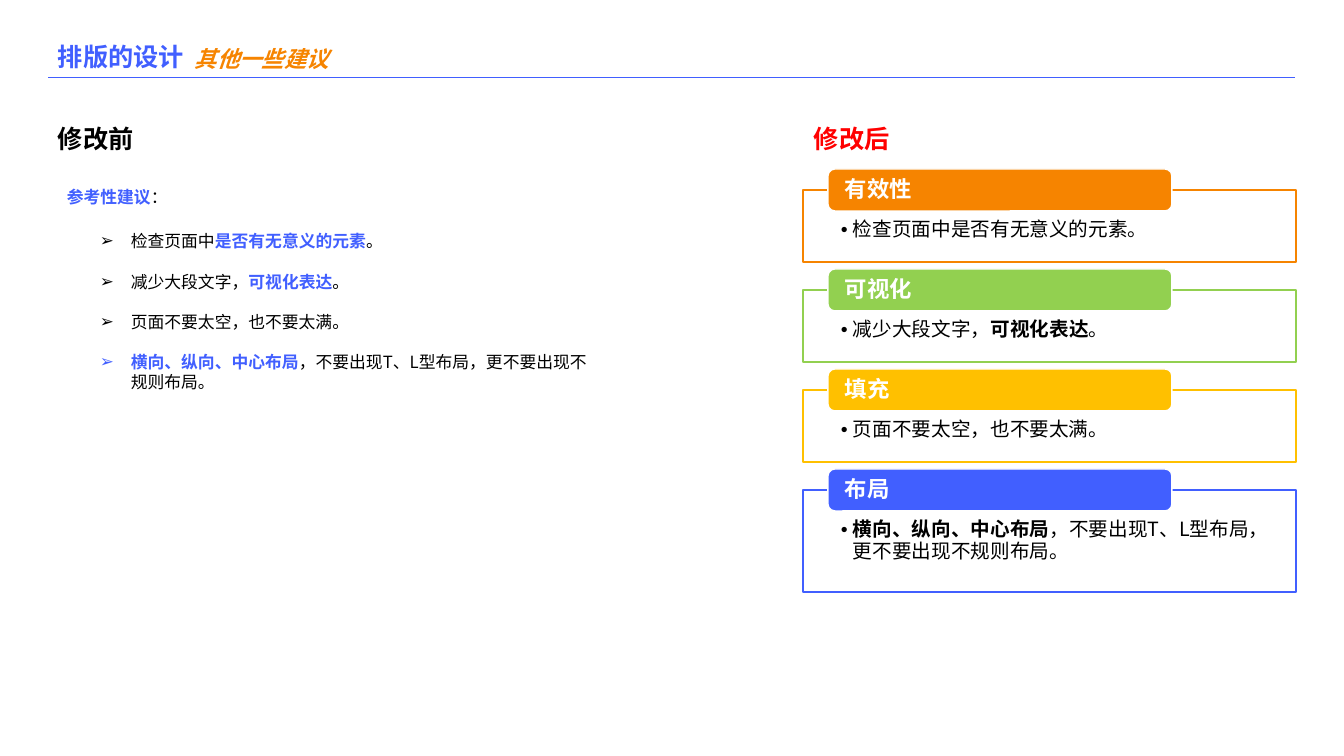
from lxml.etree import SubElement
from pptx import Presentation
from pptx.dml.color import RGBColor
from pptx.enum.shapes import MSO_CONNECTOR, MSO_SHAPE
from pptx.enum.text import MSO_ANCHOR, PP_ALIGN
from pptx.oxml.ns import qn
from pptx.util import Emu, Pt

FONT = "Noto Sans CJK SC"
BLUE, ORANGE, GREEN, YELLOW = "415FFF", "F68400", "92D050", "FFC000"
BLACK, WHITE, RED = "000000", "FFFFFF", "FF0000"

# left, top, width, height, text, size, colour, italic
HEADINGS = [
    (48, 36, 160, 40, "排版的设计", 18, BLUE, False),
    (185, 40, 286, 37, "其他一些建议", 16, ORANGE, True),
    (48, 118, 151, 40, "修改前", 18, BLACK, False),
    (804, 118, 151, 40, "修改后", 18, RED, False),
]
# Each sentence is a list of (text, emphasised)
INTRO = [("参考性建议", True), ("：", False)]
MEANING = [("检查页面中", False), ("是否有无意义的元素", True), ("。", False)]
VISUAL = [("减少大段文字，", False), ("可视化表达", True), ("。", False)]
FILLING = [("页面不要太空，也不要太满。", False)]
LAYOUT = [("横向、纵向、中心布局", True),
          ("，不要出现T、L型布局，更不要出现不规则布局。", False)]
ADVICE = [MEANING, VISUAL, FILLING, LAYOUT]
# label, colour, card height, sentence
CARDS = [
    ("有效性", ORANGE, 72, [("检查页面中是否有无意义的元素。", False)]),
    ("可视化", GREEN, 72, VISUAL),
    ("填充", YELLOW, 72, FILLING),
    ("布局", BLUE, 102, LAYOUT),
]
CARD_LEFT, CARD_TOP, CARD_WIDTH, CARD_GAP = 803, 190, 493, 28
LABEL_INDENT, LABEL_RISE, LABEL_WIDTH, LABEL_HEIGHT = 25, 21, 344, 42


def px(length):
    return Emu(round(length * 914400 / 100.8))


def rgb(colour):
    return RGBColor.from_string(colour)


def add_run(paragraph, text, size, colour, bold=False, italic=False):
    run = paragraph.add_run()
    run.text = text
    font = run.font
    font.size, font.bold, font.italic = Pt(size), bold, italic
    font.color.rgb = rgb(colour)
    font.name = FONT
    SubElement(font._element, qn("a:ea")).set("typeface", FONT)


def add_sentence(paragraph, sentence, size, strong_colour):
    for text, strong in sentence:
        add_run(paragraph, text, size, strong_colour if strong else BLACK, strong)


def add_bullet(paragraph, mark, indent):
    properties = paragraph._p.get_or_add_pPr()
    properties.set("marL", str(px(indent)))
    properties.set("indent", str(-px(indent)))
    SubElement(properties, qn("a:buFont")).set("typeface", "Arial")
    SubElement(properties, qn("a:buChar")).set("char", mark)


def add_text_box(left, top, width, height):
    frame = slide.shapes.add_textbox(px(left), px(top), px(width), px(height)).text_frame
    frame.word_wrap = True
    return frame


def add_panel(preset, box, fill, line, margins, anchor):
    """Add an outlined shape; return it with its empty left-aligned paragraph."""
    panel = slide.shapes.add_shape(preset, *map(px, box))
    panel.shadow.inherit = False
    panel.fill.solid()
    panel.fill.fore_color.rgb = rgb(fill)
    panel.line.color.rgb = rgb(line)
    panel.line.width = Pt(1)
    frame = panel.text_frame
    frame.word_wrap = True
    frame.vertical_anchor = anchor
    (frame.margin_left, frame.margin_top,
     frame.margin_right, frame.margin_bottom) = map(px, margins)
    paragraph = frame.paragraphs[0]
    paragraph.alignment = PP_ALIGN.LEFT
    paragraph.line_spacing = 0.9
    return panel, paragraph


def add_card(top, label, colour, height, sentence):
    card, body = add_panel(MSO_SHAPE.RECTANGLE, (CARD_LEFT, top, CARD_WIDTH, height),
                           WHITE, colour, (38, 30, 38, 11), MSO_ANCHOR.TOP)
    fill_colour = card.fill._xPr.find(qn("a:solidFill"))[0]
    SubElement(fill_colour, qn("a:alpha")).set("val", "90000")
    add_bullet(body, "•", 12)
    add_sentence(body, sentence, 14, BLACK)

    label_box = (CARD_LEFT + LABEL_INDENT, top - LABEL_RISE, LABEL_WIDTH, LABEL_HEIGHT)
    _, title = add_panel(MSO_SHAPE.ROUNDED_RECTANGLE, label_box,
                         colour, WHITE, (15, 0, 15, 0), MSO_ANCHOR.MIDDLE)
    add_run(title, label, 16, WHITE, True)


deck = Presentation()
deck.slide_width, deck.slide_height = px(1344), px(756)
slide = deck.slides.add_slide(deck.slide_layouts[6])

rule = slide.shapes.add_connector(MSO_CONNECTOR.STRAIGHT, px(1295), px(77), px(48), px(77))
rule.line.color.rgb = rgb(BLUE)
rule.line.width = Pt(0.5)
SubElement(rule._element.spPr, qn("a:effectLst"))

for left, top, width, height, text, size, colour, italic in HEADINGS:
    heading = add_text_box(left, top, width, height).paragraphs[0]
    add_run(heading, text, size, colour, True, italic)

advice_frame = add_text_box(90, 226, 507, 173)
for index, sentence in enumerate(ADVICE):
    paragraph = advice_frame.add_paragraph() if index else advice_frame.paragraphs[0]
    if index:
        paragraph.space_before = Pt(14.4)
    add_bullet(paragraph, "➢", 31)
    add_sentence(paragraph, sentence, 12, BLUE)

add_sentence(add_text_box(57, 182, 457, 30).paragraphs[0], INTRO, 12, BLUE)

card_top = CARD_TOP
for label, colour, height, sentence in CARDS:
    add_card(card_top, label, colour, height, sentence)
    card_top += height + CARD_GAP

deck.save("out.pptx")
